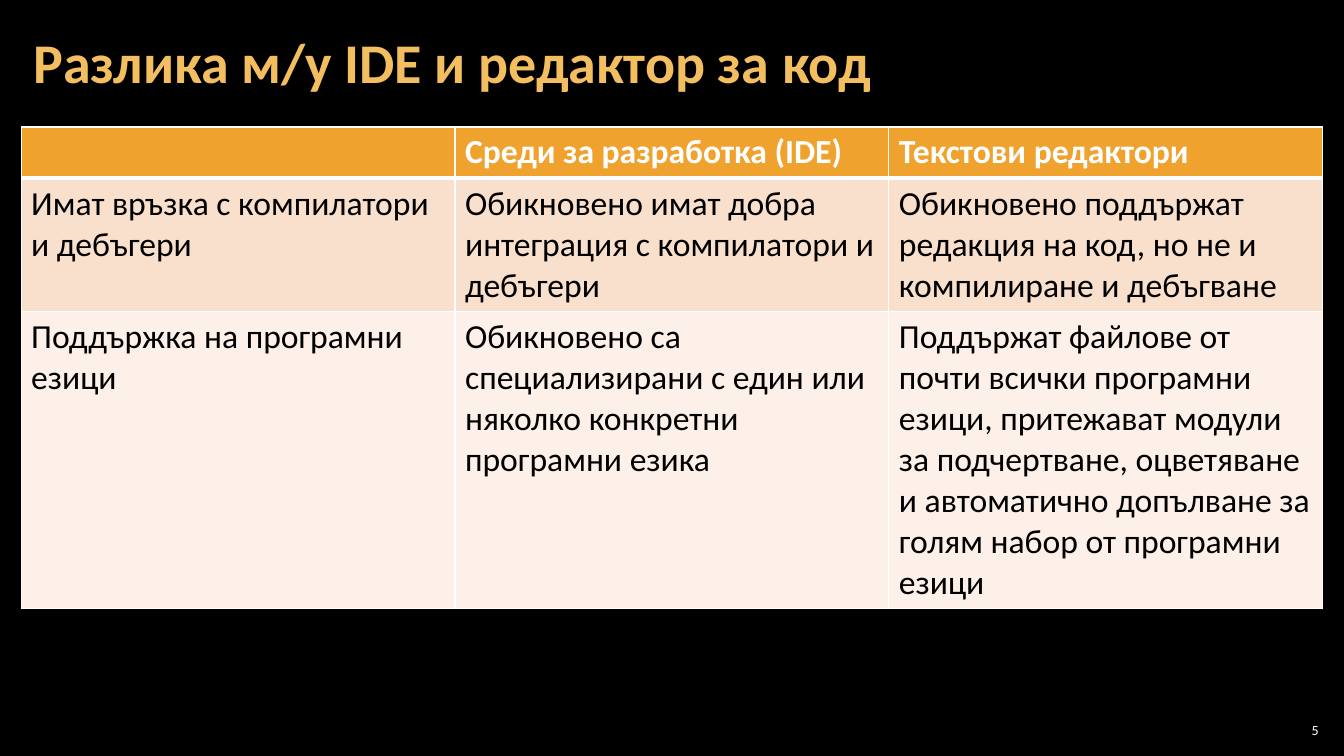
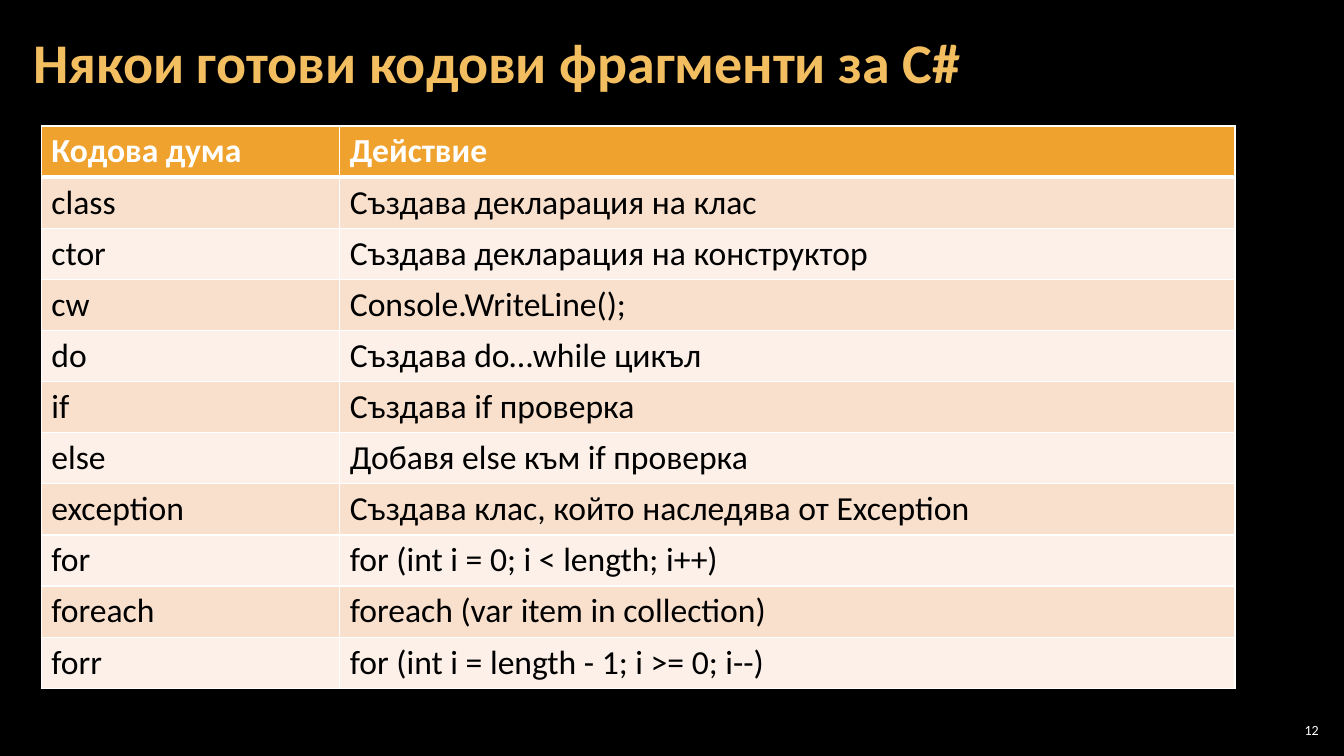
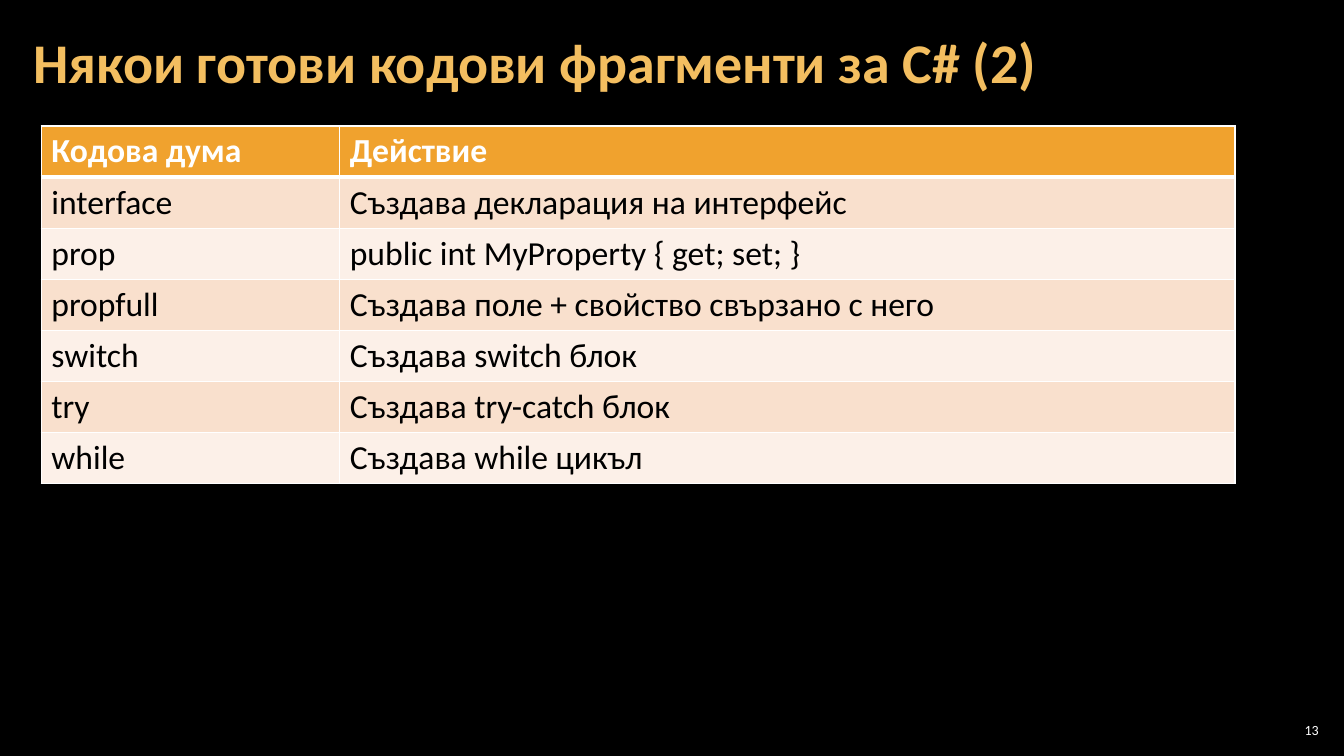
"""Build three slides comparing code tools and listing C# code snippets."""

from dataclasses import dataclass

from lxml import etree
from pptx import Presentation
from pptx.dml.color import RGBColor
from pptx.enum.text import MSO_ANCHOR, MSO_AUTO_SIZE, PP_ALIGN
from pptx.oxml.ns import qn
from pptx.util import Emu, Inches, Pt

MIDDLE = MSO_ANCHOR.MIDDLE
NO_FIT = MSO_AUTO_SIZE.NONE
LEFT = PP_ALIGN.LEFT
RIGHT = PP_ALIGN.RIGHT

COLORS = {
    "background": "000000",
    "title": "F3BE60",
    "header": "F0A22E",
    "odd_row": "F9E0CD",
    "even_row": "FCF0E8",
    "light": "FFFFFF",
    "dark": "000000",
}
FONT = "Calibri"
SLIDE_WIDTH, SLIDE_HEIGHT = 13.33, 7.5
MARGIN = 0.21
CONTENT_WIDTH = SLIDE_WIDTH - 2 * MARGIN
TITLE_TOP, TITLE_HEIGHT = 0.04, 1.21
NUMBER_WIDTH, NUMBER_HEIGHT, NUMBER_TOP = 0.47, 0.21, 7.14
LINE_HEIGHT, ROW_PADDING = 0.4, 0.1
THIN, THICK = 1, 3


@dataclass(frozen=True)
class TableGrid:
    """Position of a table and the relative widths of its columns."""

    left: float
    top: float
    width: float
    shares: tuple[int, ...]


@dataclass(frozen=True)
class TablePage:
    """Content of one slide, with the number of text lines in each row."""

    number: int
    title: str
    grid: TableGrid
    rows: tuple[tuple[str, ...], ...]
    lines: tuple[int, ...]


COMPARISON_GRID = TableGrid(MARGIN, 1.26, CONTENT_WIDTH, (1, 1, 1))
SNIPPET_GRID = TableGrid(2 * MARGIN - 0.01, 1.25, 11.84, (1, 3))
SNIPPET_HEADER = ("Кодова дума", "Действие")

COMPARISON_ROWS = (
    ("", "Среди за разработка (IDE)", "Текстови редактори"),
    (
        "Имат връзка с компилатори и дебъгери",
        "Обикновено имат добра интеграция с компилатори и дебъгери",
        "Обикновено поддържат редакция на код, но не и компилиране и дебъгване",
    ),
    (
        "Поддържка на програмни езици",
        "Обикновено са специализирани с един или няколко конкретни програмни езика",
        "Поддържат файлове от почти всички програмни езици, притежават модули "
        "за подчертване, оцветяване и автоматично допълване за голям набор от "
        "програмни езици",
    ),
)
FIRST_SNIPPETS = (
    SNIPPET_HEADER,
    ("class", "Създава декларация на клас"),
    ("ctor", "Създава декларация на конструктор"),
    ("cw", "Console.WriteLine();"),
    ("do", "Създава do…while цикъл"),
    ("if", "Създава if проверка"),
    ("else", "Добавя else към if проверка"),
    ("exception", "Създава клас, който наследява от Exception"),
    ("for", "for (int i = 0; i < length; i++)"),
    ("foreach", "foreach (var item in collection)"),
    ("forr", "for (int i = length - 1; i >= 0; i--)"),
)
SECOND_SNIPPETS = (
    SNIPPET_HEADER,
    ("interface", "Създава декларация на интерфейс"),
    ("prop", "public int MyProperty { get; set; }"),
    ("propfull", "Създава поле + свойство свързано с него"),
    ("switch", "Създава switch блок"),
    ("try", "Създава try-catch блок"),
    ("while", "Създава while цикъл"),
)
PAGES = (
    TablePage(5, "Разлика м/у IDE и редактор за код",
              COMPARISON_GRID, COMPARISON_ROWS, (1, 3, 7)),
    TablePage(12, "Някои готови кодови фрагменти за C#",
              SNIPPET_GRID, FIRST_SNIPPETS, (1,) * len(FIRST_SNIPPETS)),
    TablePage(13, "Някои готови кодови фрагменти за C# (2)",
              SNIPPET_GRID, SECOND_SNIPPETS, (1,) * len(SECOND_SNIPPETS)),
)


def color(name: str) -> RGBColor:
    """Look up a palette colour."""
    return RGBColor.from_string(COLORS[name])


def write(frame, text: str, size: int, color_name: str, bold: bool = False,
          align=LEFT) -> None:
    """Put one formatted paragraph into a text frame."""
    frame.text = text
    para = frame.paragraphs[0]
    para.alignment = align
    for span in para.runs:
        span.font.name = FONT
        span.font.size = Pt(size)
        span.font.bold = bold
        span.font.color.rgb = color(color_name)


def place_frame(shape, box: tuple[float, ...], side_inset: float):
    """Position a text shape and return its prepared text frame."""
    shape.left, shape.top, shape.width, shape.height = map(Inches, box)
    frame = shape.text_frame
    frame.word_wrap = True
    frame.auto_size = NO_FIT
    frame.vertical_anchor = MIDDLE
    frame.margin_left = frame.margin_right = Inches(side_inset)
    frame.margin_top = frame.margin_bottom = Inches(0.04)
    return frame


def add_title(page, text: str) -> None:
    """Format and fill the title placeholder."""
    box = (MARGIN, TITLE_TOP, CONTENT_WIDTH, TITLE_HEIGHT)
    frame = place_frame(page.shapes.title, box, 0.12)
    write(frame, text, 40, "title", bold=True)
    frame.paragraphs[0].line_spacing = 0.9


def add_number(page, number: int) -> None:
    """Write the slide number in the lower right corner."""
    left = SLIDE_WIDTH - MARGIN - NUMBER_WIDTH
    box = (left, NUMBER_TOP, NUMBER_WIDTH, NUMBER_HEIGHT)
    shape = page.shapes.add_textbox(*map(Inches, box))
    write(place_frame(shape, box, 0.04), str(number), 10, "light", align=RIGHT)


def add_borders(cell, top: int, bottom: int) -> None:
    """Draw the four borders of a cell, widths in points."""
    properties = cell._tc.get_or_add_tcPr()
    for side, width in zip("LRTB", (THIN, THIN, top, bottom)):
        line = etree.SubElement(properties, qn(f"a:ln{side}"), w=str(Pt(width)))
        fill = etree.SubElement(line, qn("a:solidFill"))
        etree.SubElement(fill, qn("a:srgbClr"), val=COLORS["light"])


def add_table(page, content: TablePage) -> None:
    """Draw a table with a header row and alternating body rows."""
    grid = content.grid
    heights = [LINE_HEIGHT * count + ROW_PADDING for count in content.lines]
    box = (grid.left, grid.top, grid.width, sum(heights))
    table = page.shapes.add_table(
        len(content.rows), len(grid.shares), *map(Inches, box)).table
    for column, share in zip(table.columns, grid.shares):
        column.width = Emu(int(Inches(grid.width) * share / sum(grid.shares)))
    for index, texts in enumerate(content.rows):
        table.rows[index].height = Inches(heights[index])
        header = index == 0
        fill_name = "header" if header else ("even_row", "odd_row")[index % 2]
        for cell, text in zip(table.rows[index].cells, texts):
            add_borders(cell, THICK if index == 1 else THIN,
                        THICK if header else THIN)
            cell.fill.solid()
            cell.fill.fore_color.rgb = color(fill_name)
            write(cell.text_frame, text, 24, "light" if header else "dark", header)


def main() -> None:
    """Build and save the deck."""
    deck = Presentation()
    deck.slide_width, deck.slide_height = Inches(SLIDE_WIDTH), Inches(SLIDE_HEIGHT)
    backdrop = deck.slide_master.background.fill
    backdrop.solid()
    backdrop.fore_color.rgb = color("background")
    title_only = deck.slide_layouts.get_by_name("Title Only")
    for content in PAGES:
        page = deck.slides.add_slide(title_only)
        add_title(page, content.title)
        add_table(page, content)
        add_number(page, content.number)
    deck.save("out.pptx")


if __name__ == "__main__":
    main()
